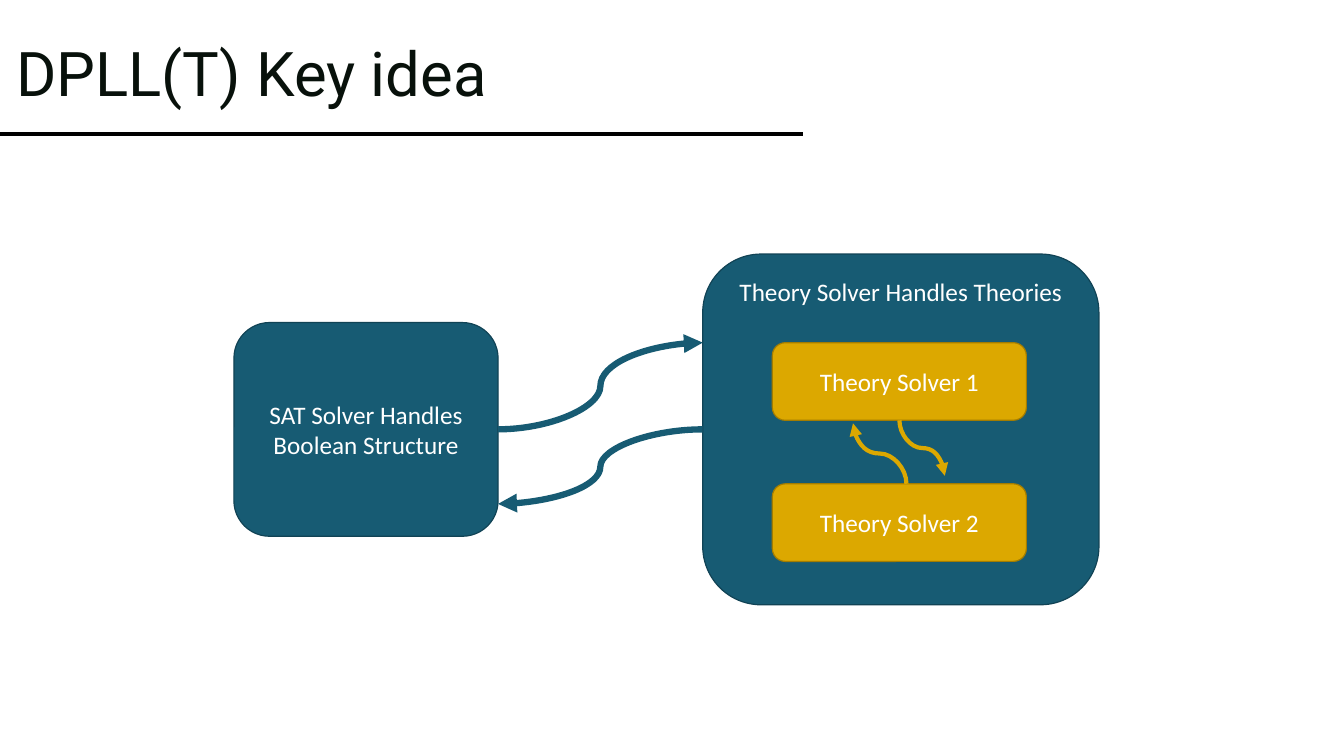
from dataclasses import dataclass

from lxml import etree
from pptx import Presentation
from pptx.dml.color import RGBColor
from pptx.enum import shapes, text
from pptx.oxml import ns
from pptx.util import Inches, Pt


@dataclass(frozen=True)
class Theme:
    teal: str = "175B73"
    teal_edge: str = "114355"
    gold: str = "DCA800"
    gold_edge: str = "A37C00"
    black: str = "000000"
    title_ink: str = "08110B"
    white: str = "FFFFFF"
    title_font: str = "Roboto"
    body_font: str = "Calibri"
    title_size: int = 44
    body_size: int = 18
    edge_width: float = 0.85
    rule_width: float = 2.25


def apply(target, values):
    for name, value in values.items():
        setattr(target, name, value)


class SlideBuilder:
    def __init__(self, presentation, theme):
        self.theme = theme
        self.slide = presentation.slides.add_slide(presentation.slide_layouts[5])

    def set_text(self, shape, words, font, size, color, anchor, alignment):
        frame = shape.text_frame
        frame.text = words
        apply(frame, {
            "word_wrap": True,
            "auto_size": text.MSO_AUTO_SIZE.NONE,
            "vertical_anchor": anchor,
        })
        paragraph = frame.paragraphs[0]
        paragraph.alignment = alignment
        apply(paragraph.font, {"name": font, "size": Pt(size)})
        paragraph.font.color.rgb = RGBColor.from_string(color)
        return paragraph

    def title(self, words, left, top, width, height):
        shape = self.slide.shapes.title
        apply(shape, {
            "left": Inches(left), "top": Inches(top),
            "width": Inches(width), "height": Inches(height),
        })
        theme = self.theme
        paragraph = self.set_text(
            shape, words, theme.title_font, theme.title_size, theme.title_ink,
            text.MSO_ANCHOR.MIDDLE, text.PP_ALIGN.LEFT)
        paragraph.line_spacing = 0.9

    def solver(self, words, left, top, width, height, fill, edge,
               anchor=text.MSO_ANCHOR.MIDDLE):
        shape = self.slide.shapes.add_shape(
            shapes.MSO_SHAPE.ROUNDED_RECTANGLE,
            Inches(left), Inches(top), Inches(width), Inches(height))
        shape.shadow.inherit = False
        shape.fill.solid()
        shape.fill.fore_color.rgb = RGBColor.from_string(fill)
        shape.line.color.rgb = RGBColor.from_string(edge)
        shape.line.width = Pt(self.theme.edge_width)
        self.set_text(shape, words, self.theme.body_font, self.theme.body_size,
                      self.theme.white, anchor, text.PP_ALIGN.CENTER)

    def line(self, start, end, color, width, kind=shapes.MSO_CONNECTOR.STRAIGHT):
        connector = self.slide.shapes.add_connector(
            kind, *(Inches(value) for value in (*start, *end)))
        connector.line.color.rgb = RGBColor.from_string(color)
        connector.line.width = Pt(width)
        etree.SubElement(connector._element.spPr, ns.qn("a:effectLst"))
        return connector

    def curved_arrow(self, start, end, color, width, vertical=False):
        """Draw an S-curve that leaves sideways, or up or down if vertical."""
        if vertical:
            center_x = (start[0] + end[0]) / 2
            center_y = (start[1] + end[1]) / 2
            start, end = (
                (center_x + center_y - y, center_y + x - center_x)
                for x, y in (start, end))
        connector = self.line(start, end, color, width, shapes.MSO_CONNECTOR.CURVE)
        if vertical:
            connector.rotation = 270
        outline = connector._element.spPr.find(ns.qn("a:ln"))
        etree.SubElement(outline, ns.qn("a:tailEnd"), type="triangle")


def main():
    presentation = Presentation()
    presentation.slide_width = Inches(13.33)
    presentation.slide_height = Inches(7.5)
    theme = Theme()
    builder = SlideBuilder(presentation, theme)

    builder.line((0, 1.33), (7.96, 1.33), theme.black, theme.rule_width)
    builder.title("DPLL(T) Key idea", 0.06, 0.03, 7.51, 1.45)

    builder.solver("SAT Solver Handles Boolean Structure", 2.32, 3.2, 2.62, 2.12,
                   theme.teal, theme.teal_edge)
    builder.solver("Theory Solver Handles Theories", 6.97, 2.52, 3.93, 3.48,
                   theme.teal, theme.teal_edge, text.MSO_ANCHOR.TOP)
    for number, top in enumerate((3.4, 4.8), start=1):
        builder.solver(f"Theory Solver {number}", 7.66, top, 2.52, 0.77,
                       theme.gold, theme.gold_edge)

    sat_right, theory_left, middle = 4.94, 6.97, 4.26
    builder.curved_arrow((sat_right, middle), (theory_left, 3.4), theme.teal, 4.5)
    builder.curved_arrow((theory_left, middle), (sat_right, 5), theme.teal, 4.5)
    builder.curved_arrow((8.92, 4.17), (9.37, 4.72), theme.gold, 3, vertical=True)
    builder.curved_arrow((8.99, 4.8), (8.46, 4.2), theme.gold, 3, vertical=True)

    presentation.save("out.pptx")


if __name__ == "__main__":
    main()
